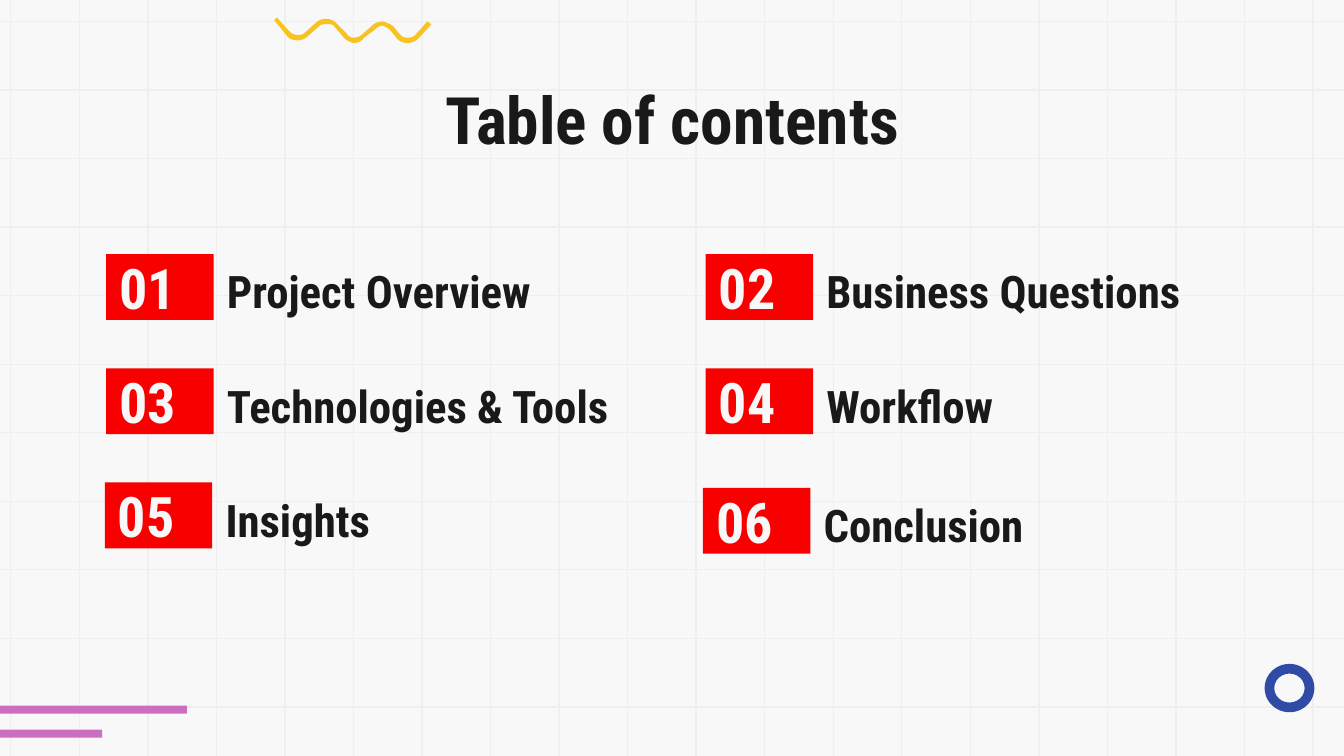
from lxml.etree import SubElement
from pptx import Presentation
from pptx.dml.color import RGBColor
from pptx.enum.shapes import MSO_CONNECTOR, MSO_SHAPE
from pptx.enum.text import MSO_ANCHOR, PP_ALIGN
from pptx.oxml.ns import qn
from pptx.util import Inches, Pt

FONT = "Roboto Condensed"
COLORS = {"paper": "F8F8F8", "grid": "EFEFEF", "ink": "191919", "tile": "F90000",
          "bar": "CB6EBE", "ring": "304BA6", "wave": "F8C220"}
TITLE = "Table of contents"
# Text, with a small shift (right, down) from its grid cell
TOPICS = [
    ("Project Overview", (0, 0)), ("Business Questions", (0, 0)),
    ("Technologies & Tools", (0, 0)), ("Workflow", (0, 0)),
    ("Insights", (-0.01, 0)), ("Conclusion", (-0.02, 0.04)),
]
BARS = [(5.25, 1.39), (5.43, 0.76)]  # top, width
# Outline of the wave: two numbers are a line's end, six a Bézier curve
WAVE = [
    (2.06, 0.13), (2.04, 0.15), (2.13, 0.26),
    (2.15, 0.29, 2.18, 0.3, 2.22, 0.3), (2.24, 0.3, 2.27, 0.29, 2.29, 0.27),
    (2.38, 0.19), (2.39, 0.18, 2.41, 0.18, 2.43, 0.18),
    (2.46, 0.18, 2.48, 0.18, 2.49, 0.2), (2.55, 0.27),
    (2.57, 0.3, 2.6, 0.31, 2.63, 0.32), (2.66, 0.32, 2.69, 0.31, 2.71, 0.28),
    (2.79, 0.22), (2.81, 0.2, 2.83, 0.19, 2.85, 0.19),
    (2.87, 0.2, 2.89, 0.21, 2.91, 0.23), (2.94, 0.27),
    (2.96, 0.3, 2.99, 0.32, 3.03, 0.32), (3.06, 0.32, 3.09, 0.31, 3.12, 0.28),
    (3.21, 0.18), (3.18, 0.16), (3.09, 0.26),
    (3.07, 0.28, 3.05, 0.28, 3.03, 0.28), (3, 0.28, 2.99, 0.27, 2.97, 0.25),
    (2.93, 0.2), (2.91, 0.18, 2.88, 0.17, 2.85, 0.16),
    (2.82, 0.16, 2.79, 0.17, 2.77, 0.19), (2.69, 0.26),
    (2.68, 0.27, 2.66, 0.28, 2.63, 0.28), (2.61, 0.28, 2.59, 0.27, 2.58, 0.25),
    (2.51, 0.18), (2.49, 0.16, 2.47, 0.14, 2.42, 0.14),
    (2.4, 0.14, 2.37, 0.15, 2.35, 0.17), (2.26, 0.25),
    (2.25, 0.26, 2.23, 0.26, 2.22, 0.26), (2.19, 0.26, 2.17, 0.25, 2.16, 0.24),
]
GRID_LEFT, GRID_TOP, GRID_STEP = 0.08, 0.16, 0.51
LEFT, TOP, COL_STEP, ROW_STEP = 0.79, 1.89, 4.46, 0.85
TILE_W, LABEL_W, ROW_H = 0.8, 3.16, 0.49
CURVE_STEPS = 8

prs = Presentation()
prs.slide_width = Inches(10)
prs.slide_height = prs.slide_width * 9 // 16
s = prs.slides.add_slide(prs.slide_layouts[6])


def color(name):
    return RGBColor.from_string(COLORS[name])


def paint(sp, name):
    sp.shadow.inherit = False
    sp.fill.solid()
    sp.fill.fore_color.rgb = color(name)
    sp.line.fill.background()
    return sp


def add_shape(kind, box, name):
    return paint(s.shapes.add_shape(kind, *map(Inches, box)), name)


def add_grid_line(x1, y1, x2, y2):
    line = s.shapes.add_connector(MSO_CONNECTOR.STRAIGHT, x1, y1, x2, y2)
    line.line.color.rgb = color("grid")
    line.line.width = Pt(0.75)
    SubElement(line._element.spPr, qn("a:effectLst"))


def write(sp, text, size, name, align=PP_ALIGN.LEFT, anchor=MSO_ANCHOR.MIDDLE,
          spacing=1.0):
    tf = sp.text_frame
    tf.word_wrap = True
    tf.vertical_anchor = anchor
    tf.margin_left = tf.margin_right = tf.margin_top = tf.margin_bottom = Inches(0.1)
    p = tf.paragraphs[0]
    p.alignment = align
    p.line_spacing = spacing
    r = p.add_run()
    r.text = text
    r.font.name, r.font.size, r.font.bold = FONT, Pt(size), True
    r.font.color.rgb = color(name)


def add_text(box, *args, **kwargs):
    write(s.shapes.add_textbox(*map(Inches, box)), *args, **kwargs)


def flatten(outline):
    """Turn lines and cubic curves into a list of points in EMU."""
    points = [outline[0]]
    for part in outline[1:]:
        if len(part) == 2:
            points.append(part)
            continue
        a, b, c, d = points[-1], part[:2], part[2:4], part[4:]
        for i in range(1, CURVE_STEPS + 1):
            t = i / CURVE_STEPS
            u = 1 - t
            points.append(tuple(
                u**3 * a[k] + 3 * u * u * t * b[k] + 3 * u * t * t * c[k] + t**3 * d[k]
                for k in (0, 1)))
    return [(Inches(x), Inches(y)) for x, y in points]


# Background grid
s.background.fill.solid()
s.background.fill.fore_color.rgb = color("paper")
for i in range(11):
    y = Inches(GRID_TOP + i * GRID_STEP)
    add_grid_line(0, y, prs.slide_width, y)
for i in range(20):
    x = Inches(GRID_LEFT + i * GRID_STEP)
    add_grid_line(x, 0, x, prs.slide_height)

# Ornaments
for top, width in BARS:
    add_shape(MSO_SHAPE.RECTANGLE, (0, top, width, 0.06), "bar")
ring = add_shape(MSO_SHAPE.DONUT, (9.41, 4.94, 0.37, 0.36), "ring")
ring.adjustments[0] = 0.2
points = flatten(WAVE)
wave = s.shapes.build_freeform(*points[0], scale=1.0)
wave.add_line_segments(points[1:], close=True)
paint(wave.convert_to_shape(), "wave")

# Title and numbered topics
add_text((LEFT, 0.49, 8.43, 0.63), TITLE, 35, "ink",
         align=PP_ALIGN.CENTER, anchor=MSO_ANCHOR.TOP)
for i, (topic, (dx, dy)) in enumerate(TOPICS):
    row, col = divmod(i, 2)
    x, y = LEFT + col * COL_STEP + dx, TOP + row * ROW_STEP + dy
    tile = add_shape(MSO_SHAPE.RECTANGLE, (x, y, TILE_W, ROW_H), "tile")
    write(tile, f"{i + 1:02d}", 30, "paper")
    add_text((x + TILE_W, y, LABEL_W, ROW_H), topic, 24, "ink", spacing=1.15)

prs.save("out.pptx")
